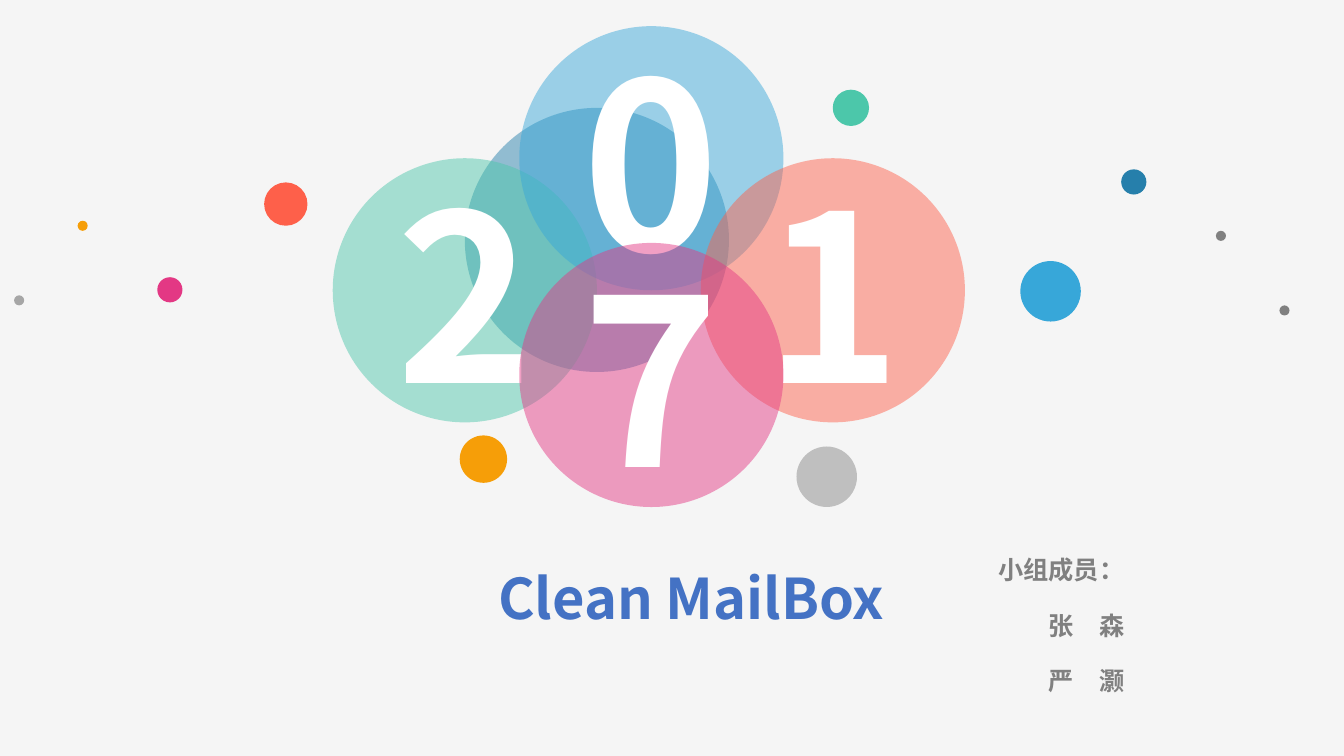
from dataclasses import dataclass

from lxml.etree import SubElement
from pptx import Presentation
from pptx.dml.color import RGBColor
from pptx.dml.fill import FillFormat
from pptx.enum.shapes import MSO_SHAPE
from pptx.enum.text import MSO_ANCHOR, MSO_AUTO_SIZE, PP_ALIGN
from pptx.oxml.ns import qn
from pptx.shapes.autoshape import Shape
from pptx.slide import Slide
from pptx.text.text import Font
from pptx.util import Inches, Pt

BACKGROUND = "F5F5F5"
WHITE = "FFFFFF"
GREY = "808080"
TITLE_BLUE = "4472C4"
DEEP_BLUE = "267FAB"
SKY = "37A7D9"
GREEN = "4CC7AA"
CORAL = "FE604A"
PINK = "E33884"
ORANGE = "F69E08"
DIGIT_DIAMETER = 2.62
DIGIT_OPACITY = 48


@dataclass
class Circle:
    left: float
    top: float
    diameter: float
    color: str
    opacity: int = 100
    digit: str = ""


def digit_circle(left: float, top: float, color: str, digit: str = "") -> Circle:
    return Circle(left, top, DIGIT_DIAMETER, color, DIGIT_OPACITY, digit)


YEAR = [
    digit_circle(4.61, 1.07, DEEP_BLUE),
    digit_circle(3.3, 1.57, GREEN, "2"),
    digit_circle(5.15, 0.26, SKY, "0"),
    digit_circle(6.95, 1.57, CORAL, "1"),
    digit_circle(5.15, 2.41, PINK, "7"),
]

DOTS = [
    Circle(8.26, 0.89, 0.36, GREEN),
    Circle(7.9, 4.43, 0.6, "BFBFBF"),
    Circle(10.12, 2.59, 0.6, SKY),
    Circle(2.62, 1.81, 0.43, CORAL),
    Circle(4.56, 4.32, 0.47, ORANGE),
    Circle(1.56, 2.75, 0.25, PINK),
    Circle(0.77, 2.19, 0.1, ORANGE),
    Circle(0.14, 2.93, 0.1, "A6A6A6"),
    Circle(11.12, 1.68, 0.25, DEEP_BLUE),
    Circle(12.69, 3.03, 0.1, GREY),
    Circle(12.06, 2.29, 0.1, GREY),
]

# Tabs set the two characters of each name in columns
MEMBERS = ["小组成员：", "\t张\t森", "\t严\t灏"]
NAME_TABS = [1.0, 1.41]


def paint(fill: FillFormat, color: str) -> None:
    fill.solid()
    fill.fore_color.rgb = RGBColor.from_string(color)


def style(font: Font, name: str, size: float, color: str) -> None:
    font.name = name
    font.size = Pt(size)
    font.bold = True
    paint(font.fill, color)


def place(shape: Shape, left: float, top: float, width: float, height: float) -> None:
    shape.left, shape.top = Inches(left), Inches(top)
    shape.width, shape.height = Inches(width), Inches(height)


def draw_circle(slide: Slide, circle: Circle) -> None:
    diameter = Inches(circle.diameter)
    oval = slide.shapes.add_shape(
        MSO_SHAPE.OVAL, Inches(circle.left), Inches(circle.top), diameter, diameter)
    oval.shadow.inherit = False
    oval.line.fill.background()
    paint(oval.fill, circle.color)
    if circle.opacity < 100:
        color = oval.fill._xPr.find(qn("a:solidFill")).find(qn("a:srgbClr"))
        SubElement(color, qn("a:alpha"), val=str(circle.opacity * 1000))
    if circle.digit:
        oval.text_frame.vertical_anchor = MSO_ANCHOR.MIDDLE
        paragraph = oval.text_frame.paragraphs[0]
        paragraph.text = circle.digit
        paragraph.alignment = PP_ALIGN.CENTER
        style(paragraph.font, "Noto Sans CJK SC", 166, WHITE)


def write_title(title: Shape) -> None:
    place(title, 3.66, 5.54, 6.39, 0.77)
    frame = title.text_frame
    frame.auto_size = MSO_AUTO_SIZE.SHAPE_TO_FIT_TEXT
    frame.vertical_anchor = MSO_ANCHOR.TOP
    paragraph = frame.paragraphs[0]
    paragraph.text = "Clean MailBox"
    paragraph.alignment = PP_ALIGN.CENTER
    style(paragraph.font, "Noto Sans CJK TC", 40, TITLE_BLUE)


def write_members(members: Shape) -> None:
    place(members, 9.8, 5.3, 3.14, 2.43)
    frame = members.text_frame
    frame.auto_size = MSO_AUTO_SIZE.SHAPE_TO_FIT_TEXT
    frame.vertical_anchor = MSO_ANCHOR.TOP
    frame.text = "\n".join(MEMBERS)
    for paragraph in frame.paragraphs:
        paragraph.alignment = PP_ALIGN.LEFT
        paragraph.line_spacing = 1.5
        paragraph.space_before = Pt(0)
        paragraph.space_after = Pt(7.2)
        tabs = SubElement(paragraph._p.get_or_add_pPr(), qn("a:tabLst"))
        for position in NAME_TABS:
            SubElement(tabs, qn("a:tab"), pos=str(Inches(position)), algn="l")
        style(paragraph.font, "Calibri", 18, GREY)


def main() -> None:
    deck = Presentation()
    deck.slide_width, deck.slide_height = Inches(13.33), Inches(7.5)
    slide = deck.slides.add_slide(deck.slide_layouts[0])
    paint(slide.background.fill, BACKGROUND)

    # Year in overlapping circles, with loose dots around it
    for circle in YEAR + DOTS:
        draw_circle(slide, circle)

    # Project title and team
    write_title(slide.shapes.title)
    write_members(slide.placeholders[1])

    deck.save("out.pptx")


if __name__ == "__main__":
    main()
